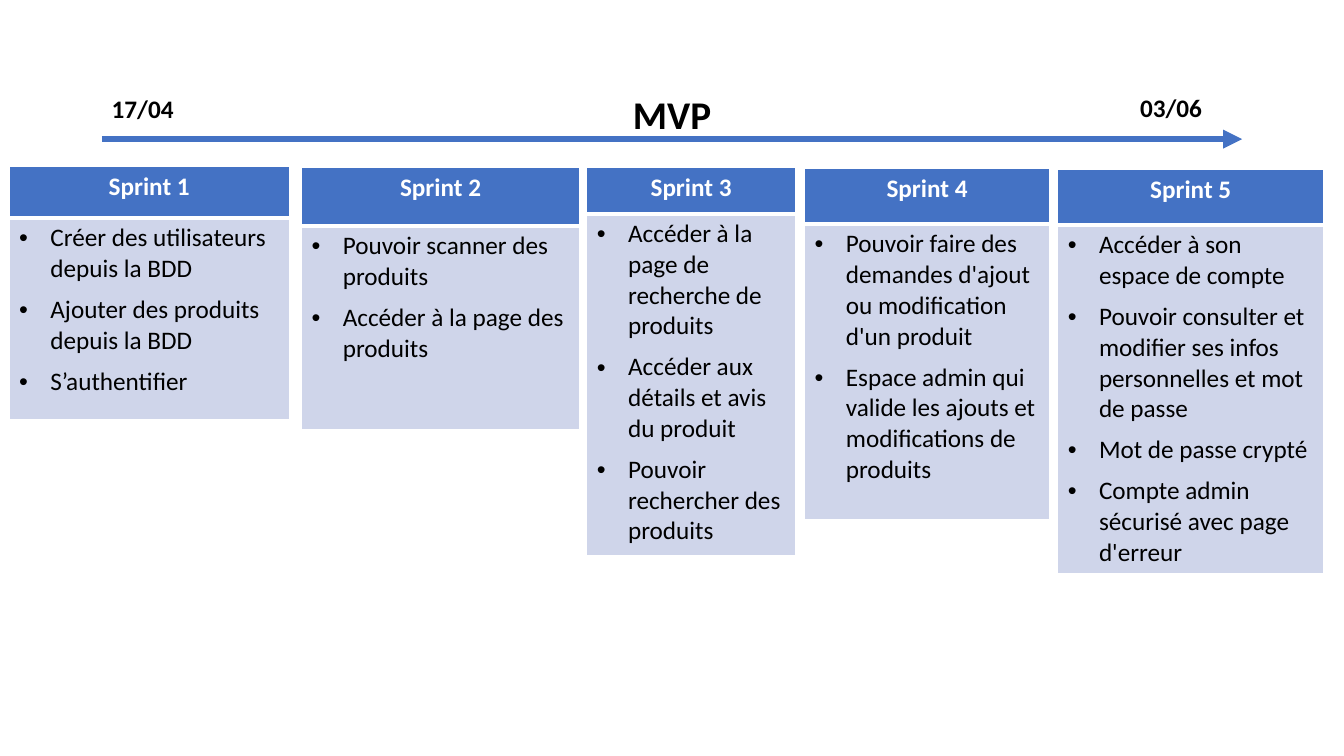
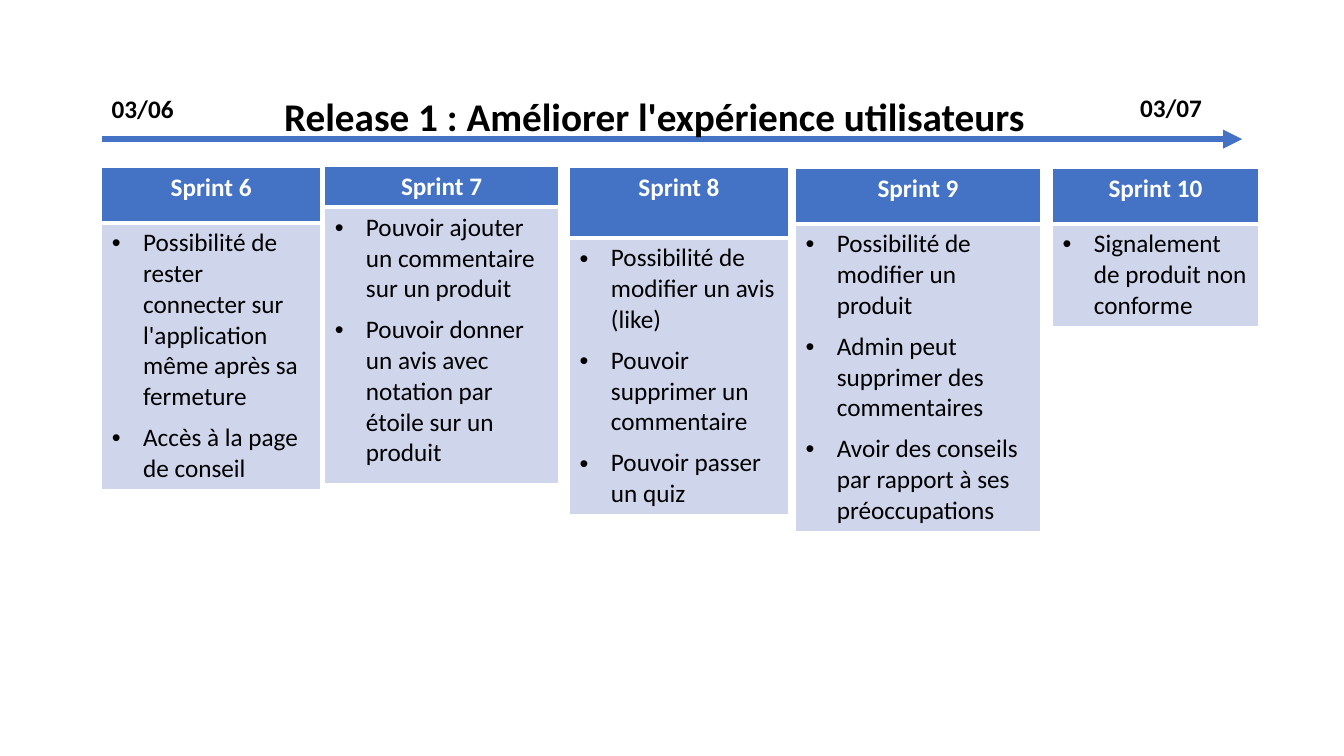
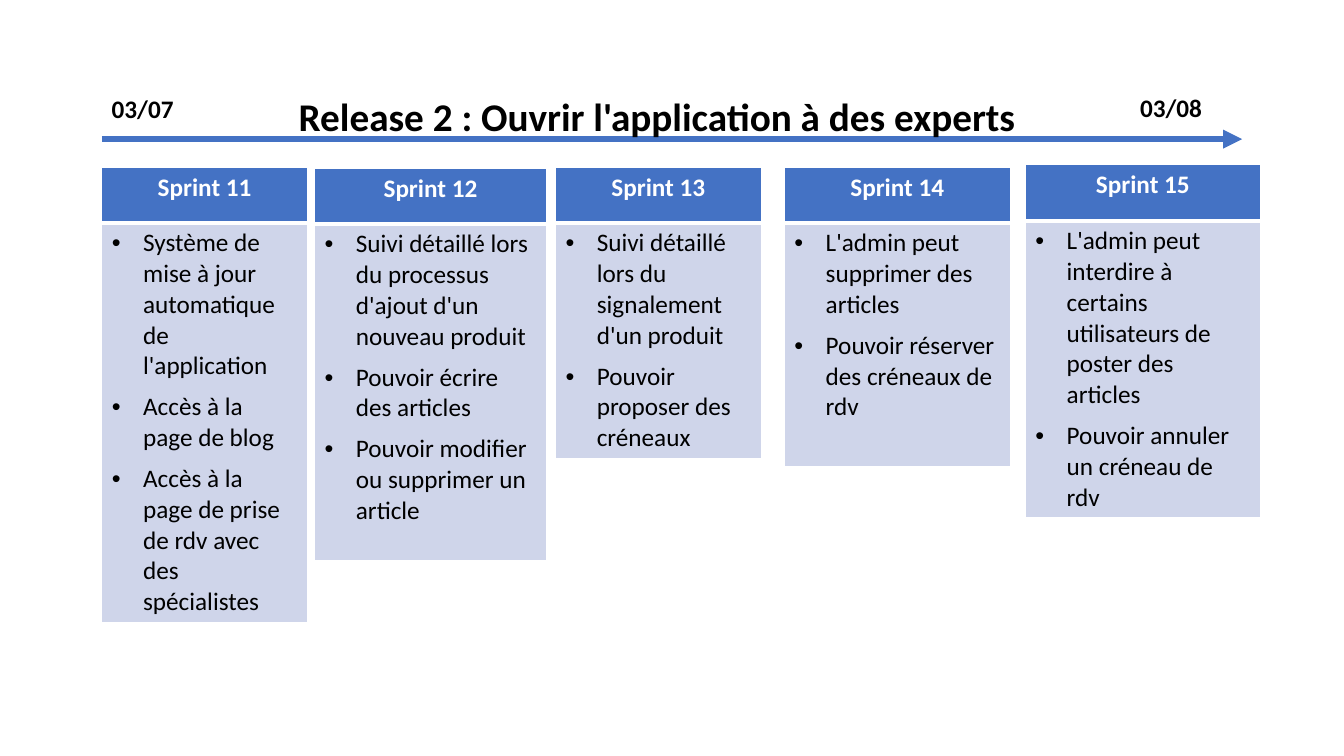
from lxml.etree import SubElement
from pptx import Presentation
from pptx.dml.color import RGBColor
from pptx.enum.shapes import MSO_CONNECTOR
from pptx.enum.text import MSO_AUTO_SIZE, PP_ALIGN
from pptx.oxml import parse_xml
from pptx.oxml.ns import nsdecls, qn
from pptx.util import Inches, Pt

COLORS = {"blue": "4472C4", "pale": "CFD5EA", "white": "FFFFFF", "black": "000000"}
FONT = "Calibri"
BODY_SIZE, TITLE_SIZE = 18, 28
INDENT = 0.31
ITEM_GAP = 7.3


class Roadmap:
    """Holds the shared style and the slide being filled."""

    def __init__(self):
        self.deck = Presentation()
        self.deck.slide_width = Inches(13.33)
        self.deck.slide_height = Inches(7.5)
        self.page = None

    def color(self, name):
        return RGBColor.from_string(COLORS[name])

    def style(self, para, color, size=BODY_SIZE, bold=True, align=PP_ALIGN.CENTER):
        para.alignment = align
        for span in para.runs:
            span.font.name = FONT
            span.font.size = Pt(size)
            span.font.bold = bold
            span.font.color.rgb = self.color(color)

    def label(self, text, left, top, width, height, **style):
        box = self.page.shapes.add_textbox(*map(Inches, (left, top, width, height)))
        frame = box.text_frame
        frame.word_wrap = True
        frame.auto_size = MSO_AUTO_SIZE.SHAPE_TO_FIT_TEXT
        frame.text = text
        self.style(frame.paragraphs[0], "black", **style)

    def arrow(self, left, right, top):
        line = self.page.shapes.add_connector(
            MSO_CONNECTOR.STRAIGHT, Inches(left), Inches(top), Inches(right), Inches(top))
        line.line.color.rgb = self.color("blue")
        line.line.width = Pt(4.5)
        SubElement(line.line._get_or_add_ln(), qn("a:tailEnd"), type="triangle")
        SubElement(line._element.spPr, qn("a:effectLst"))

    def cell(self, cell, fill, top_border, bottom_border):
        cell.fill.solid()
        cell.fill.fore_color.rgb = self.color(fill)
        borders = {"lnL": 1, "lnR": 1, "lnT": top_border, "lnB": bottom_border}
        properties = cell._tc.get_or_add_tcPr()
        for position, (side, width) in enumerate(borders.items()):
            properties.insert(position, parse_xml(
                f'<a:{side} {nsdecls("a")} w="{Pt(width)}"><a:solidFill>'
                f'<a:srgbClr val="{COLORS["white"]}"/></a:solidFill></a:{side}>'))

    def bullet(self, para):
        properties = para._p.get_or_add_pPr()
        properties.set("marL", str(Inches(INDENT)))
        properties.set("indent", str(-Inches(INDENT)))
        SubElement(properties, qn("a:buFont"), typeface="Arial")
        SubElement(properties, qn("a:buChar"), char="•")

    def sprint(self, number, left, top, width, height, header_height, items):
        table = self.page.shapes.add_table(
            2, 1, *map(Inches, (left, top, width, height))).table
        table.horz_banding = False
        table.rows[0].height = Inches(header_height)
        table.rows[1].height = Inches(height - header_height)
        header, body = table.cell(0, 0), table.cell(1, 0)
        self.cell(header, "blue", 1, 3)
        self.cell(body, "pale", 3, 1)
        header.text_frame.text = f"Sprint {number}"
        self.style(header.text_frame.paragraphs[0], "white")
        body.text_frame.text = "\n".join(items)
        for index, para in enumerate(body.text_frame.paragraphs):
            self.style(para, "black", bold=False, align=PP_ALIGN.LEFT)
            if index:
                para.space_before = Pt(ITEM_GAP)
            self.bullet(para)

    def release(self, title, title_place, start, end, first_sprint, sprints):
        self.page = self.deck.slides.add_slide(self.deck.slide_layouts[6])
        for number, sprint in enumerate(sprints, first_sprint):
            self.sprint(number, *sprint)
        self.arrow(1.01, 12.32, 1.38)
        self.label(start, 1.01, 0.88, 1.13, 0.4, align=PP_ALIGN.LEFT)
        self.label(end, 11.21, 0.87, 0.95, 0.4, align=PP_ALIGN.LEFT)
        left, top, width = title_place
        self.label(title, left, top, width, 0.57, size=TITLE_SIZE)


# Each sprint: left, top, width, height, header height, items
MVP = [
    (0.09, 1.65, 2.78, 2.51, 0.51, [
        "Créer des utilisateurs depuis la BDD",
        "Ajouter des produits depuis la BDD",
        "S’authentifier"]),
    (2.99, 1.66, 2.76, 2.6, 0.58, [
        "Pouvoir scanner des produits",
        "Accéder à la page des produits"]),
    (5.82, 1.66, 2.07, 3.85, 0.46, [
        "Accéder à la page de recherche de produits",
        "Accéder aux détails et avis du produit",
        "Pouvoir rechercher des produits"]),
    (7.98, 1.67, 2.43, 3.48, 0.55, [
        "Pouvoir faire des demandes d'ajout ou modification d'un produit",
        "Espace admin qui valide les ajouts et modifications de produits"]),
    (10.49, 1.68, 2.64, 3.99, 0.55, [
        "Accéder à son espace de compte",
        "Pouvoir consulter et modifier ses infos personnelles et mot de passe",
        "Mot de passe crypté",
        "Compte admin sécurisé avec page d'erreur"]),
]
RELEASE_1 = [
    (1.01, 1.66, 2.17, 3.19, 0.55, [
        "Possibilité de rester connecter sur l'application même après sa fermeture",
        "Accès à la page de conseil"]),
    (3.22, 1.65, 2.32, 3.13, 0.39, [
        "Pouvoir ajouter un commentaire sur un produit",
        "Pouvoir donner un avis avec notation par étoile sur un produit"]),
    (5.65, 1.66, 2.17, 3.43, 0.7, [
        "Possibilité de modifier un avis (like)",
        "Pouvoir supprimer un commentaire",
        "Pouvoir passer un quiz"]),
    (7.89, 1.67, 2.43, 3.58, 0.55, [
        "Possibilité de modifier un produit",
        "Admin peut supprimer des commentaires",
        "Avoir des conseils par rapport à ses préoccupations"]),
    (10.44, 1.67, 2.04, 1.57, 0.55, [
        "Signalement de produit non conforme"]),
]
RELEASE_2 = [
    (1.01, 1.66, 2.04, 4.5, 0.55, [
        "Système de mise à jour automatique de l'application",
        "Accès à la page de blog",
        "Accès à la page de prise de rdv avec des spécialistes"]),
    (3.12, 1.67, 2.3, 3.89, 0.55, [
        "Suivi détaillé lors du processus d'ajout d'un nouveau produit",
        "Pouvoir écrire des articles",
        "Pouvoir modifier ou supprimer un article"]),
    (5.51, 1.66, 2.04, 2.88, 0.55, [
        "Suivi détaillé lors du signalement d'un produit",
        "Pouvoir proposer des créneaux"]),
    (7.78, 1.66, 2.24, 2.97, 0.55, [
        "L'admin peut supprimer des articles",
        "Pouvoir réserver des créneaux de rdv"]),
    (10.17, 1.63, 2.33, 3.5, 0.56, [
        "L'admin peut interdire à certains utilisateurs de poster des articles",
        "Pouvoir annuler un créneau de rdv"]),
]


def main():
    roadmap = Roadmap()
    roadmap.release("MVP", (5.57, 0.85, 2.19), "17/04", "03/06", 1, MVP)
    roadmap.release("Release 1 : Améliorer l'expérience utilisateurs",
                    (1.81, 0.87, 9.36), "03/06", "03/07", 6, RELEASE_1)
    roadmap.release("Release 2 : Ouvrir l'application à des experts",
                    (1.78, 0.87, 9.47), "03/07", "03/08", 11, RELEASE_2)
    roadmap.deck.save("out.pptx")


if __name__ == "__main__":
    main()
